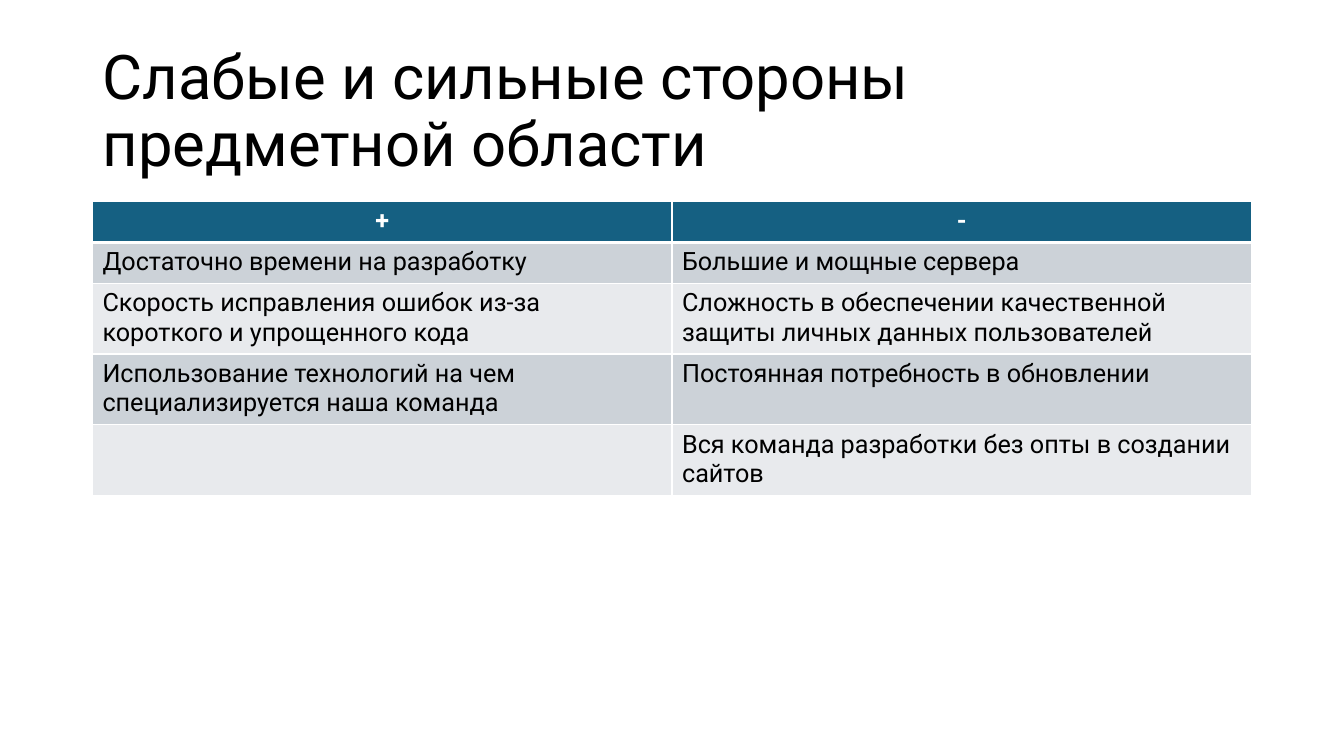
from lxml import etree
from pptx import Presentation
from pptx.dml.color import RGBColor
from pptx.enum.text import MSO_ANCHOR, MSO_AUTO_SIZE, PP_ALIGN
from pptx.oxml.ns import qn
from pptx.util import Cm, Pt

LEFT, CENTER = PP_ALIGN.LEFT, PP_ALIGN.CENTER
MIDDLE = MSO_ANCHOR.MIDDLE
NO_AUTOFIT = MSO_AUTO_SIZE.NONE
TITLE_ONLY_LAYOUT = 5
FONT = "Roboto"
COLORS = {
    "text": "000000",
    "header_text": "FFFFFF",
    "header": "156082",
    "odd_row": "CCD2D8",
    "even_row": "E8EAED",
    "border": "FFFFFF",
}

TITLE = "Слабые и сильные стороны предметной области"
ROWS = [
    ("+", "-"),
    ("Достаточно времени на разработку", "Большие и мощные сервера"),
    ("Скорость исправления ошибок из-за короткого и упрощенного кода",
     "Сложность в обеспечении качественной защиты личных данных пользователей"),
    ("Использование технологий на чем специализируется наша команда",
     "Постоянная потребность в обновлении"),
    ("", "Вся команда разработки без опты в создании сайтов"),
]
ROW_HEIGHTS = [1.03, 1.03, 1.78, 1.78, 1.78]
MARGIN, CONTENT_WIDTH = 2.33, 29.21


def format_paragraph(paragraph, size, color, alignment=LEFT, bold=False):
    paragraph.alignment = alignment
    font = paragraph.font
    font.name = FONT
    font.size = Pt(size)
    font.bold = bold
    font.color.rgb = RGBColor.from_string(COLORS[color])


def set_borders(cell, top, bottom):
    """Draw solid borders; the side ones are 1 pt wide."""
    properties = cell._tc.get_or_add_tcPr()
    widths = {"a:lnL": 1, "a:lnR": 1, "a:lnT": top, "a:lnB": bottom}
    for position, (tag, width) in enumerate(widths.items()):
        line = etree.Element(qn(tag), w=str(Pt(width)))
        fill = etree.SubElement(line, qn("a:solidFill"))
        etree.SubElement(fill, qn("a:srgbClr"), val=COLORS["border"])
        properties.insert(position, line)


def add_title(slide):
    title = slide.shapes.title
    title.left, title.top = Cm(MARGIN), Cm(1.01)
    title.width, title.height = Cm(CONTENT_WIDTH), Cm(3.68)
    frame = title.text_frame
    frame.text = TITLE
    frame.word_wrap = True
    frame.auto_size = NO_AUTOFIT
    frame.vertical_anchor = MIDDLE
    paragraph = frame.paragraphs[0]
    paragraph.line_spacing = 0.9
    format_paragraph(paragraph, 44, "text")


def fill_cell(cell, text, row_index):
    is_header = row_index == 0
    cell.text = text
    paragraph = cell.text_frame.paragraphs[0]
    if is_header:
        fill_color = "header"
        format_paragraph(paragraph, 18, "header_text", CENTER, bold=True)
    else:
        fill_color = "odd_row" if row_index % 2 else "even_row"
        format_paragraph(paragraph, 18, "text")
    cell.fill.solid()
    cell.fill.fore_color.rgb = RGBColor.from_string(COLORS[fill_color])
    # The rule under the header is thicker than the others
    set_borders(cell, top=3 if row_index == 1 else 1, bottom=3 if is_header else 1)


def add_comparison_table(slide):
    column_count = len(ROWS[0])
    table = slide.shapes.add_table(
        len(ROWS), column_count, Cm(MARGIN), Cm(5.08),
        Cm(CONTENT_WIDTH), Cm(sum(ROW_HEIGHTS))).table
    for column in table.columns:
        column.width = Cm(CONTENT_WIDTH / column_count)
    for row_index, (texts, height) in enumerate(zip(ROWS, ROW_HEIGHTS)):
        table.rows[row_index].height = Cm(height)
        for column_index, text in enumerate(texts):
            fill_cell(table.cell(row_index, column_index), text, row_index)


def main():
    presentation = Presentation()
    presentation.slide_width, presentation.slide_height = Cm(33.87), Cm(19.05)
    slide = presentation.slides.add_slide(
        presentation.slide_layouts[TITLE_ONLY_LAYOUT])

    # Heading
    add_title(slide)
    # Strengths and weaknesses
    add_comparison_table(slide)

    presentation.save("out.pptx")


if __name__ == "__main__":
    main()
